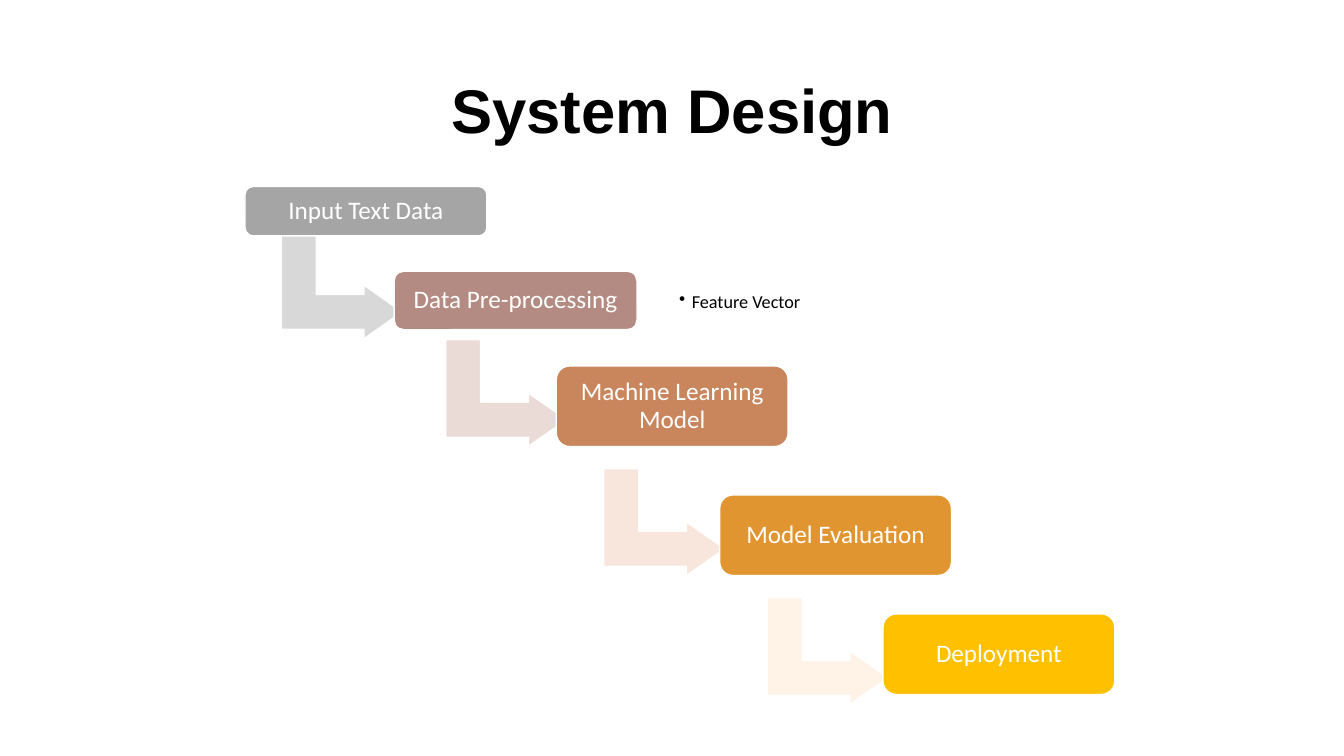
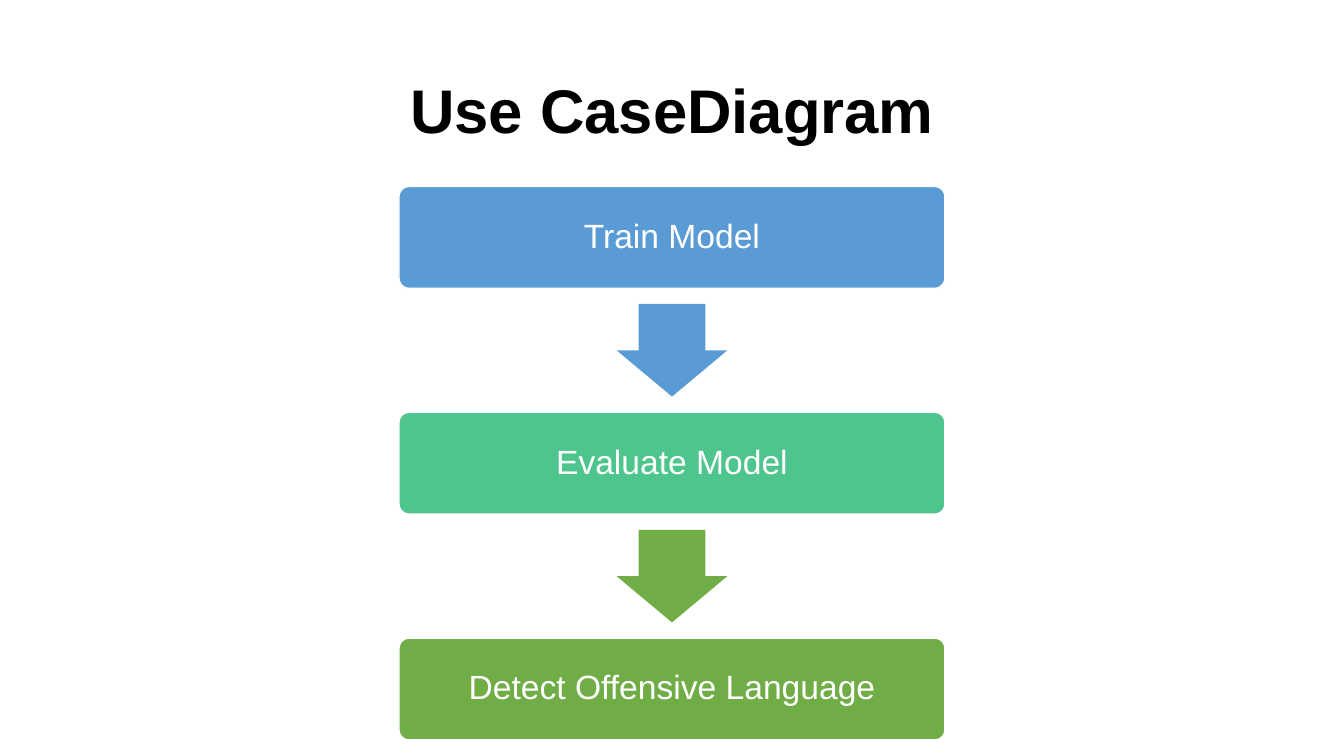
from dataclasses import dataclass

from lxml.etree import SubElement
from pptx import Presentation
from pptx.dml.color import RGBColor
from pptx.enum.shapes import MSO_SHAPE as SHAPE
from pptx.enum.text import MSO_ANCHOR as ANCHOR, PP_ALIGN as ALIGN
from pptx.oxml.ns import qn
from pptx.util import Pt


@dataclass(frozen=True)
class Theme:
    heading_font: str = "Arial"
    body_font: str = "Calibri"
    ink: str = "000000"
    paper: str = "FFFFFF"
    title_size: int = 44
    stage_size: int = 24
    step_size: int = 18
    note_size: int = 13
    line_spacing: float = 0.9
    outline: int = 1
    # (box, arrow) colours of the staircase, top to bottom
    step_colors: tuple = (
        ("A5A5A5", "D8D8D8"),
        ("B48B83", "EBDBD7"),
        ("C9865C", "F8E6DC"),
        ("E19530", "FFF3E7"),
        ("FFC000", None),
    )
    # (box, arrow) colours of the vertical flow
    stage_colors: tuple = (
        ("5B9BD5", "5B9BD5"),
        ("4DC58D", "70AD47"),
        ("70AD47", None),
    )


THEME = Theme()
SLIDE_W, SLIDE_H = 960, 540

# Label, box (left, top, width, height), left and top of the arrow leaving it
STEPS = (
    ("Input Text Data", (175, 133.2, 172.8, 35.3), (200.9, 165.6)),
    ("Data Pre-processing", (281.5, 193.7, 173.5, 41.8), (318.3, 242.6)),
    ("Machine Learning Model", (397.4, 261.4, 165.6, 57.6), (431.3, 334.8)),
    ("Model Evaluation", (514.1, 353.5, 165.6, 57.6), (548, 426.9)),
    ("Deployment", (630.7, 438.5, 165.6, 57.6), None),
)
STEP_ARROW = (86.4, 76.3)

STAGES = ("Train Model", "Evaluate Model", "Detect Offensive Language")
STAGE_BOX = (390, 72.7)
STAGE_TOP, STAGE_PITCH = 133.2, 161.3
STAGE_ARROW = (79.2, 66.2)


def color(code):
    return RGBColor.from_string(code)


def write(frame, text, font, size, ink, bold=False, align=ALIGN.CENTER, inset=None):
    """Fill a text frame with one styled paragraph and return the paragraph."""
    frame.word_wrap = True
    frame.vertical_anchor = ANCHOR.MIDDLE
    if inset is not None:
        frame.margin_left = frame.margin_right = Pt(inset)
        frame.margin_top = frame.margin_bottom = Pt(inset)
    paragraph = frame.paragraphs[0]
    paragraph.alignment = align
    paragraph.line_spacing = THEME.line_spacing
    run = paragraph.add_run()
    run.text = text
    run.font.name, run.font.size, run.font.bold = font, Pt(size), bold
    run.font.color.rgb = color(ink)
    return paragraph


def add_figure(slide, kind, bounds, fill, adjustments, outlined=True):
    figure = slide.shapes.add_shape(kind, *map(Pt, bounds))
    figure.shadow.inherit = False
    figure.fill.solid()
    figure.fill.fore_color.rgb = color(fill)
    if outlined:
        figure.line.color.rgb = color(THEME.paper)
        figure.line.width = Pt(THEME.outline)
    else:
        figure.line.fill.background()
    for index, value in enumerate(adjustments):
        figure.adjustments[index] = value
    return figure


def add_box(slide, text, bounds, fill, font, size, rounding, inset):
    box = add_figure(slide, SHAPE.ROUNDED_RECTANGLE, bounds, fill, [rounding])
    write(box.text_frame, text, font, size, THEME.paper, inset=inset)


def add_turned_arrow(slide, kind, left, top, extent, fill, adjustments, outlined):
    """Draw an arrow turned a quarter clockwise; the bounds are those seen."""
    width, height = extent
    shift = (width - height) / 2
    bounds = (left + shift, top - shift, height, width)
    add_figure(slide, kind, bounds, fill, adjustments, outlined).rotation = 90


def add_title(slide, text):
    title = slide.shapes.add_textbox(*map(Pt, (66.2, 28.8, 828, 104.4)))
    write(title.text_frame, text, THEME.heading_font, THEME.title_size,
          THEME.ink, bold=True)


def add_bullet_note(slide, text, bounds):
    note = slide.shapes.add_textbox(*map(Pt, bounds))
    paragraph = write(note.text_frame, text, THEME.body_font, THEME.note_size,
                      THEME.ink, align=ALIGN.LEFT, inset=5)
    # Hanging bullet
    properties = paragraph._p.get_or_add_pPr()
    properties.set("marL", str(Pt(9)))
    properties.set("indent", str(-Pt(9)))
    SubElement(properties, qn("a:buChar")).set("char", "•")


def build_system_design(slide):
    # Staircase: each arrow lies behind its own box and the next one
    for (text, bounds, arrow), (fill, tint) in zip(STEPS, THEME.step_colors):
        if arrow:
            add_turned_arrow(slide, SHAPE.BENT_UP_ARROW, *arrow, STEP_ARROW,
                             tint, (0.328, 0.25, 0.358), outlined=True)
        add_box(slide, text, bounds, fill, THEME.body_font, THEME.step_size,
                rounding=0.167, inset=5)
    add_bullet_note(slide, "Feature Vector", (480.2, 199.4, 98, 33.8))
    add_title(slide, "System Design")


def build_use_case(slide):
    add_title(slide, "Use CaseDiagram")
    # Vertical flow: equal pitch, arrows centred in the gaps
    box_w, box_h = STAGE_BOX
    arrow_w, arrow_h = STAGE_ARROW
    arrow_drop = (box_h + STAGE_PITCH - arrow_h) / 2
    for row, (text, (fill, arrow_fill)) in enumerate(zip(STAGES, THEME.stage_colors)):
        top = STAGE_TOP + row * STAGE_PITCH
        add_box(slide, text, ((SLIDE_W - box_w) / 2, top, box_w, box_h), fill,
                THEME.heading_font, THEME.stage_size, rounding=0.1, inset=7.2)
        if arrow_fill:
            add_turned_arrow(slide, SHAPE.RIGHT_ARROW, (SLIDE_W - arrow_w) / 2,
                             top + arrow_drop, STAGE_ARROW, arrow_fill,
                             (0.6, 0.5), outlined=False)


def main():
    deck = Presentation()
    deck.slide_width, deck.slide_height = Pt(SLIDE_W), Pt(SLIDE_H)
    blank = deck.slide_layouts[6]
    for build in (build_system_design, build_use_case):
        build(deck.slides.add_slide(blank))
    deck.save("out.pptx")


if __name__ == "__main__":
    main()
